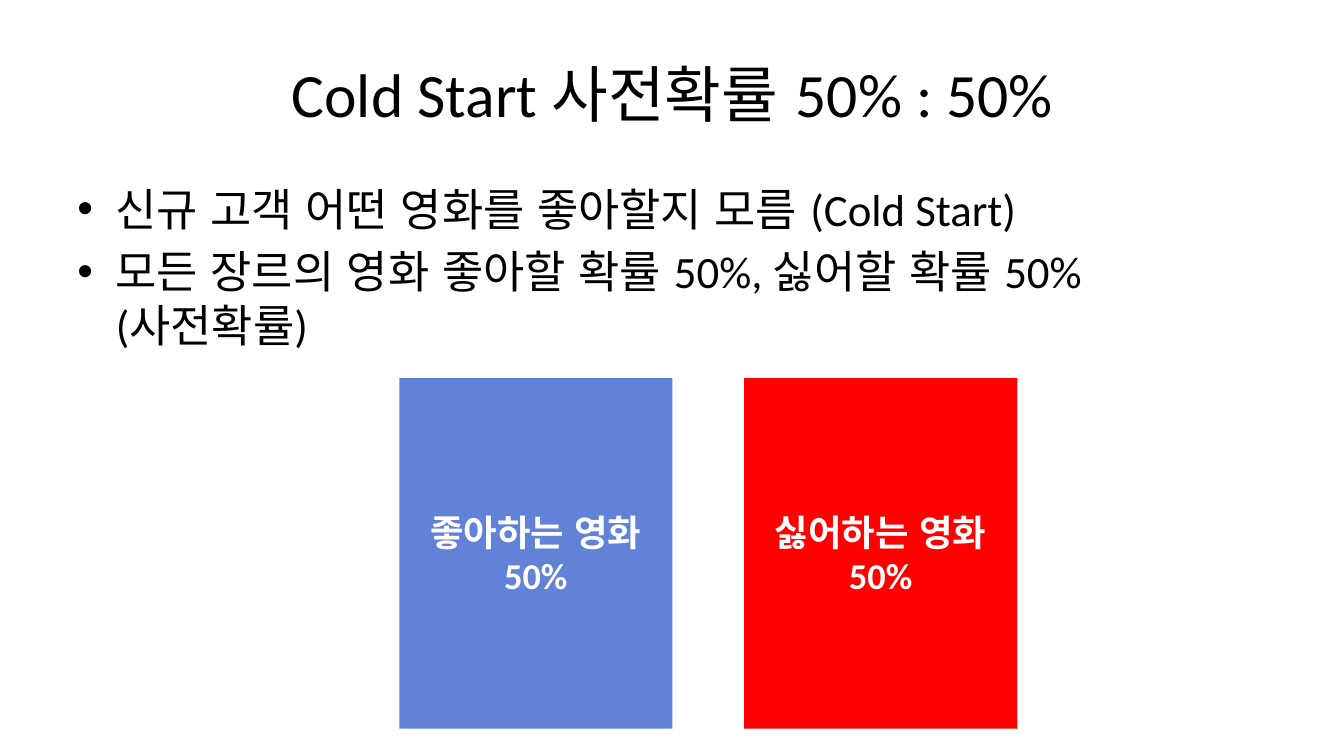
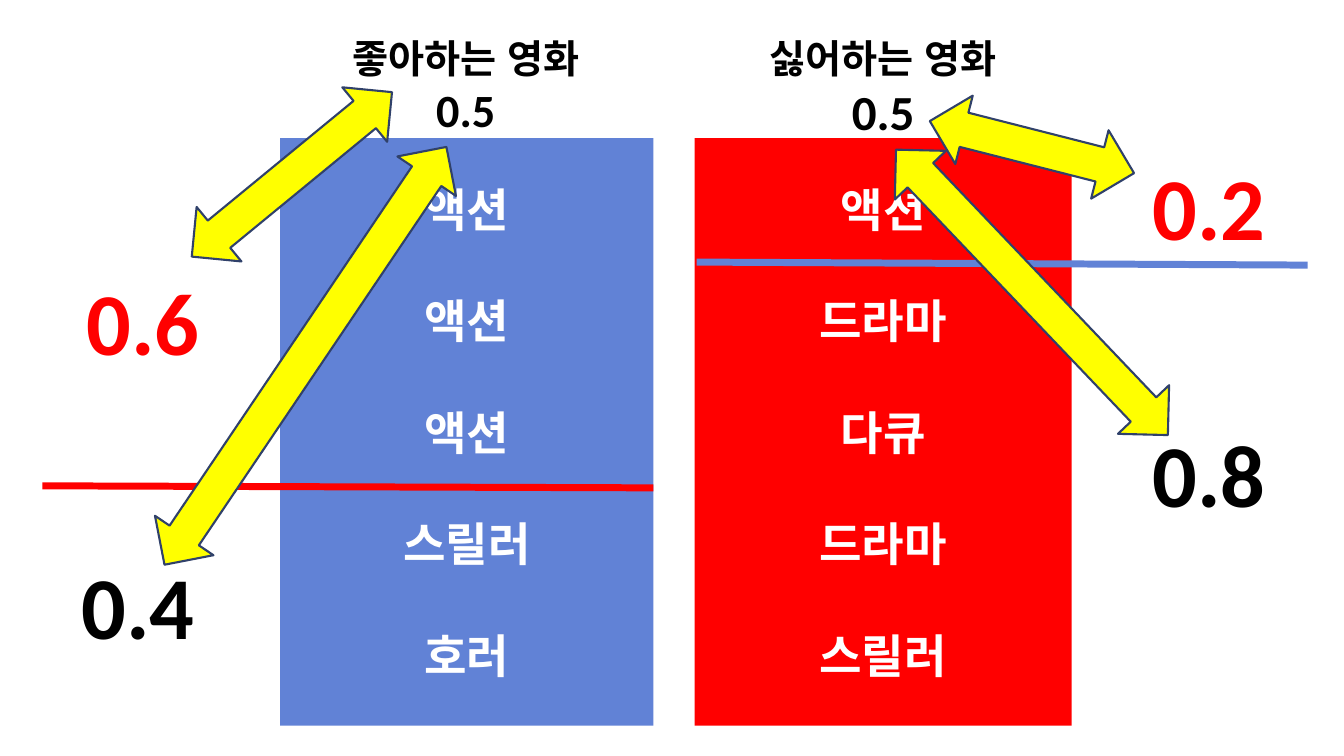
from lxml import etree
from pptx import Presentation
from pptx.dml.color import RGBColor
from pptx.enum.lang import MSO_LANGUAGE_ID
from pptx.enum.shapes import MSO_CONNECTOR, MSO_SHAPE
from pptx.enum.text import MSO_ANCHOR, PP_ALIGN
from pptx.oxml.ns import qn
from pptx.util import Inches, Pt

FONT = "Calibri"
BLACK = RGBColor(0x00, 0x00, 0x00)
WHITE = RGBColor(0xFF, 0xFF, 0xFF)
RED = RGBColor(0xFF, 0x00, 0x00)
BLUE = RGBColor(0x61, 0x82, 0xD6)
YELLOW = RGBColor(0xFF, 0xFF, 0x00)
NAVY = RGBColor(0x30, 0x41, 0x6A)

KOREAN = MSO_LANGUAGE_ID.KOREAN
CENTER, LEFT = PP_ALIGN.CENTER, PP_ALIGN.LEFT
TOP, MIDDLE = MSO_ANCHOR.TOP, MSO_ANCHOR.MIDDLE
RECTANGLE, DOUBLE_ARROW = MSO_SHAPE.RECTANGLE, MSO_SHAPE.LEFT_RIGHT_ARROW
STRAIGHT = MSO_CONNECTOR.STRAIGHT


def write(shape, lines, color, bold=True, align=CENTER, anchor=TOP, gap=0):
    """Fill a shape with (text, size) lines, one paragraph each."""
    frame = shape.text_frame
    frame.word_wrap = True
    frame.vertical_anchor = anchor
    for i, (text, size) in enumerate(lines):
        paragraph = frame.paragraphs[0] if i == 0 else frame.add_paragraph()
        paragraph.alignment = align
        if i:
            paragraph.space_before = Pt(gap)
        run = paragraph.add_run()
        run.text = text
        run.font.name = FONT
        run.font.size = Pt(size)
        run.font.bold = bold
        run.font.color.rgb = color
        run.font.language_id = KOREAN
    return frame


def add_block(slide, kind, box, fill, outline=None):
    """Add a flat preset shape, without an outline unless one is given."""
    block = slide.shapes.add_shape(kind, *map(Inches, box))
    block.shadow.inherit = False
    block.fill.solid()
    block.fill.fore_color.rgb = fill
    if outline is None:
        block.line.fill.background()
    else:
        block.line.color.rgb = outline
        block.line.width = Pt(1.5)
    return block


prs = Presentation()
prs.slide_width, prs.slide_height = Inches(13.33), Inches(7.5)
blank = prs.slide_layouts[6]

# Slide 1: prior probabilities
prior = prs.slides.add_slide(blank)
title = prior.shapes.add_textbox(Inches(0.67), Inches(0.3), Inches(12), Inches(1.25))
write(title, [("Cold Start 사전확률 50% : 50%", 44)], BLACK, bold=False, anchor=MIDDLE)

body = prior.shapes.add_textbox(Inches(0.67), Inches(1.75), Inches(12), Inches(4.95))
points = ["신규 고객 어떤 영화를 좋아할지 모름 (Cold Start)",
          "모든 장르의 영화 좋아할 확률 50%, 싫어할 확률 50% (사전확률)"]
body_frame = write(body, [(point, 32) for point in points], BLACK, bold=False, align=LEFT)
for paragraph in body_frame.paragraphs:
    paragraph.space_before = Pt(6.4)
    properties = paragraph._p.get_or_add_pPr()
    properties.set("marL", str(Inches(0.38)))
    properties.set("indent", str(Inches(-0.38)))
    etree.SubElement(properties, qn("a:buFont")).set("typeface", "Arial")
    etree.SubElement(properties, qn("a:buChar")).set("char", "•")

for left, label, fill in [(3.96, "좋아하는 영화", BLUE), (7.38, "싫어하는 영화", RED)]:
    half = add_block(prior, RECTANGLE, (left, 3.75, 2.71, 3.48), fill)
    write(half, [(label, 26), ("50%", 26)], WHITE, anchor=MIDDLE)

# Slide 2: genre shares within each group
genres = prs.slides.add_slide(blank)
columns = [
    (6.89, 3.74, RED, 6.89, "싫어하는 영화", 35, ["액션", "드라마", "다큐", "드라마", "스릴러"]),
    (2.78, 3.7, BLUE, 2.75, "좋아하는 영화", 33, ["액션", "액션", "액션", "스릴러", "호러"]),
]
for left, width, fill, label_left, label, prior_size, films in columns:
    column = add_block(genres, RECTANGLE, (left, 1.37, width, 5.83), fill)
    write(column, [(film, 33) for film in films], WHITE, anchor=MIDDLE, gap=40)
    heading = genres.shapes.add_textbox(
        Inches(label_left), Inches(0.29), Inches(3.74), Inches(1.15))
    write(heading, [(label, 28), ("0.5", prior_size)], BLACK)

shares = [(0.42, 2.6, "0.6", RED), (0.37, 5.42, "0.4", BLACK),
          (10.99, 1.46, "0.2", RED), (10.99, 4.11, "0.8", BLACK)]
for left, top, share, color in shares:
    share_box = genres.shapes.add_textbox(
        Inches(left), Inches(top), Inches(2), Inches(1.15))
    write(share_box, [(share, 63)], color)

for ends, color in [((0.42, 4.82, 6.48, 4.84), RED), ((6.91, 2.6, 12.97, 2.63), BLUE)]:
    divider = genres.shapes.add_connector(STRAIGHT, *map(Inches, ends))
    divider.line.color.rgb = color
    divider.line.width = Pt(5)
    etree.SubElement(divider._element.spPr, qn("a:effectLst"))

arrows = [(1.61, 1.38, 2.57, 320.6), (0.53, 3.18, 5, 304),
          (8.28, 2.55, 3.91, 226.4), (9.19, 1.11, 2.09, 14.3)]
for left, top, length, angle in arrows:
    arrow = add_block(genres, DOUBLE_ARROW, (left, top, length, 0.7), YELLOW, NAVY)
    arrow.rotation = angle

prs.save("out.pptx")
